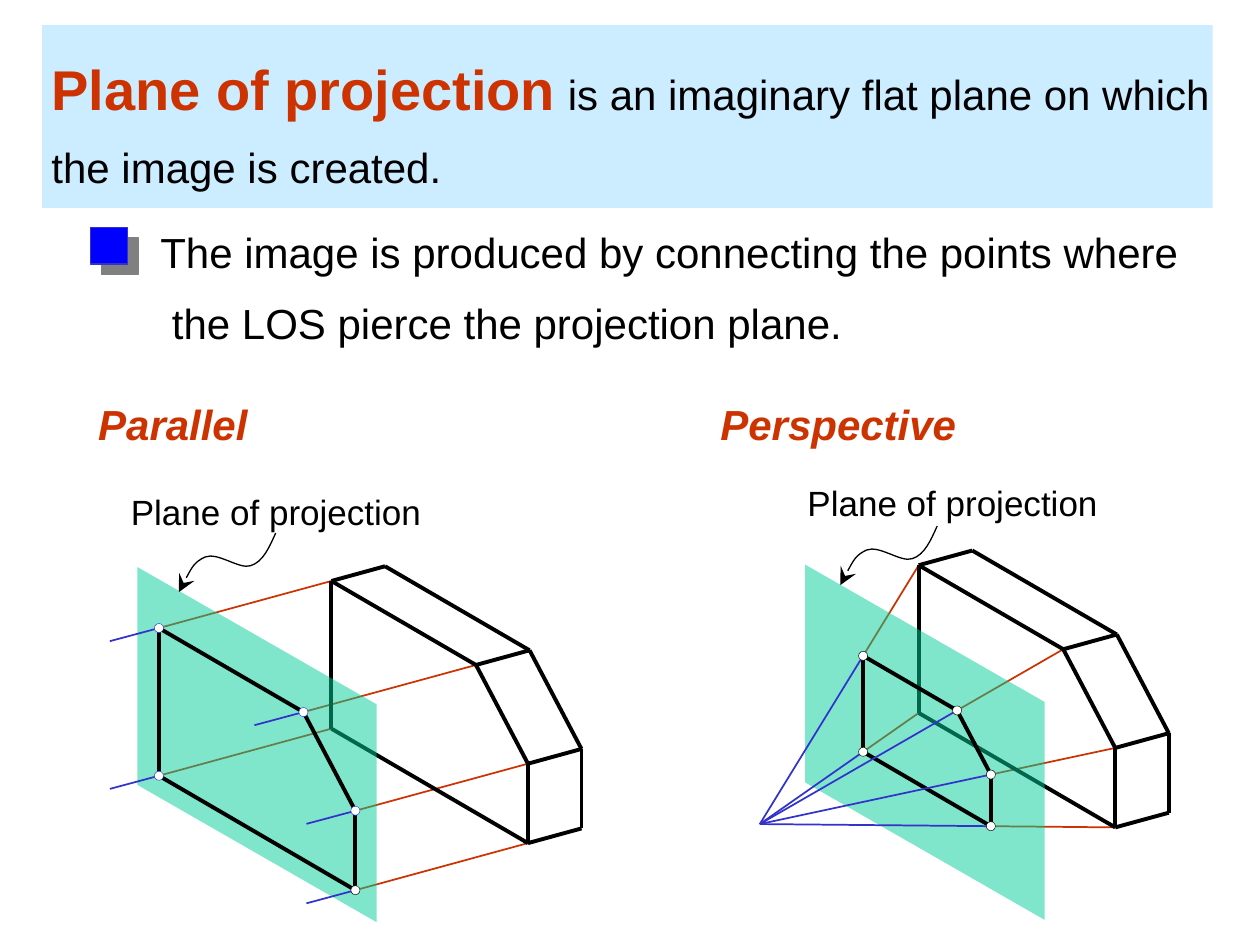
"""Build a slide that compares parallel and perspective planes of projection."""
import lxml.etree
import pptx
import pptx.dml.color
import pptx.enum.shapes
import pptx.enum.text
import pptx.oxml.ns
import pptx.util

Pt = pptx.util.Pt
qn = pptx.oxml.ns.qn
SubElement = lxml.etree.SubElement
RECTANGLE = pptx.enum.shapes.MSO_SHAPE.RECTANGLE
OVAL = pptx.enum.shapes.MSO_SHAPE.OVAL

COLORS = {
    "black": "000000", "white": "FFFFFF", "red": "CC3300", "banner": "CCECFF",
    "bullet": "0000FF", "sight": "3333CC", "plane": "00CC99", "shadow": "808080",
}
RGB = {name: pptx.dml.color.RGBColor.from_string(value) for name, value in COLORS.items()}

presentation = pptx.Presentation()
presentation.slide_width, presentation.slide_height = Pt(720), Pt(540)
slide = presentation.slides.add_slide(presentation.slide_layouts[6])
shapes = slide.shapes


def add_text(left, top, width, height, paragraphs, spacing=None):
    """Add an unwrapped text box from lists of (text, size, color, bold, italic)."""
    box = shapes.add_textbox(Pt(left), Pt(top), Pt(width), Pt(height))
    frame = box.text_frame
    frame.word_wrap = False
    frame.auto_size = pptx.enum.text.MSO_AUTO_SIZE.SHAPE_TO_FIT_TEXT
    for index, runs in enumerate(paragraphs):
        paragraph = frame.add_paragraph() if index else frame.paragraphs[0]
        paragraph.line_spacing = spacing
        for text, size, color, bold, italic in runs:
            run = paragraph.add_run()
            run.text = text
            run.font.name, run.font.size = "Arial", Pt(size)
            run.font.bold, run.font.italic = bold, italic
            run.font.color.rgb = RGB[color]
    return box


def add_line(start, end, color, width):
    """Add a straight line without a shadow."""
    line = shapes.add_connector(
        pptx.enum.shapes.MSO_CONNECTOR.STRAIGHT, *(Pt(value) for value in (*start, *end)))
    line.line.color.rgb = RGB[color]
    line.line.width = Pt(width)
    SubElement(line._element.spPr, qn("a:effectLst"))


banner = shapes.add_shape(RECTANGLE, Pt(24), Pt(14.4), Pt(669), Pt(104.4))
banner.shadow.inherit = False
banner.fill.solid()
banner.fill.fore_color.rgb = RGB["banner"]
banner.line.fill.background()

add_text(22.3, 12.2, 682.6, 101.5, [
    [("Plane of projection", 32, "red", True, False),
     (" ", 24, "red", True, True),
     ("is an imaginary flat plane on which", 24, "black", False, False)],
    [("the image is created.", 24, "black", False, False)],
], 1.4)
statement = add_text(84.5, 114.5, 596.2, 87.8, [
    [("The image is produced by connecting the points where", 24, "black", False, False)],
    [("the LOS pierce the projection plane.", 24, "black", False, False)],
], 1.4)
statement.text_frame.paragraphs[1]._p.get_or_add_pPr().set("marL", str(Pt(6.67)))

bullet = shapes.add_shape(RECTANGLE, Pt(51.8), Pt(129.8), Pt(21), Pt(21))
bullet.shadow.inherit = False
bullet.fill.solid()
bullet.fill.fore_color.rgb = RGB["bullet"]
bullet.line.color.rgb = RGB["sight"]
bullet.line.width = Pt(0.75)
effects = bullet._element.spPr.find(qn("a:effectLst"))
shadow = SubElement(effects, qn("a:outerShdw"), dist=str(Pt(8.5)), dir="2700000",
                    algn="ctr", rotWithShape="0")
SubElement(shadow, qn("a:srgbClr"), val=COLORS["shadow"])

PROFILE = [(189.4, 332), (272, 380), (301.7, 436.4), (301.7, 481.8), (189.4, 416.4)]
DEPTH = (30.6, -8.4)
PLANE = [(0, 0), (136.8, 78.5), (136.8, 203), (0, 124.5)]
POINTER = [(0, 33.8), (4.3, 25.2), (8.6, 16.6), (15.1, 13.7), (22.3, 10.8),
           (34.6, 20.9), (41, 18.7), (48.2, 16.6), (51.8, 7.9), (55.4, 0)]
EYE = (434.2, 470.9)
SCALE = 0.65

parallel_image = [(x - 98.6, y + 26.9) for x, y in PROFILE]
perspective_solid = [(x + 335.6, y - 9) for x, y in PROFILE]
perspective_image = [
    tuple(eye + SCALE * (value - eye) for eye, value in zip(EYE, point))
    for point in perspective_solid
]
views = [
    {"heading": ("Parallel", 49, 106), "solid": PROFILE, "image": parallel_image,
     "sights": [(x - 28, y + 7.5) for x, y in parallel_image],
     "plane": (78.5, 324), "label": (67.7, 267.1), "pointer": (102.2, 304.6),
     "dots": ["sight", "sight", "sight", "black", "sight"]},
    {"heading": ("Perspective", 404.6, 152), "solid": perspective_solid,
     "image": perspective_image, "sights": [EYE] * 5,
     "plane": (460.1, 322.6), "label": (454.3, 262.1), "pointer": (480.2, 300.6),
     "dots": ["black"] * 5},
]

for view in views:
    heading, left, width = view["heading"]
    add_text(left, 223.9, width, 36, [[(heading, 24, "red", True, True)]])

    solid, image = view["solid"], view["image"]
    for corner, point in zip(solid, image):
        add_line(corner, point, "red", 1)

    back = [(x + DEPTH[0], y + DEPTH[1]) for x, y in solid[:4]]
    edges = [*zip(solid, solid[1:] + solid[:1]), *zip(back, back[1:]), *zip(solid, back)]
    for start, end in edges:
        add_line(start, end, "black", 2.25)

    left, top = view["plane"]
    corners = [(Pt(left + x), Pt(top + y)) for x, y in PLANE]
    builder = shapes.build_freeform(*corners[0], scale=1.0)
    builder.add_line_segments(corners[1:], close=True)
    plane = builder.convert_to_shape()
    plane.shadow.inherit = False
    plane.fill.solid()
    plane.fill.fore_color.rgb = RGB["plane"]
    plane.line.fill.background()
    SubElement(plane._element.spPr.find(qn("a:solidFill"))[0], qn("a:alpha"), val="50000")

    add_text(*view["label"], 190, 41,
             [[("Plane of projection", 20, "black", False, False)]], 1.4)

    left, top = view["pointer"]
    controls = [(Pt(left + x), Pt(top + y)) for x, y in POINTER]
    builder = shapes.build_freeform(*controls[0], scale=1.0)
    builder.add_line_segments(controls[1:], close=False)
    pointer = builder.convert_to_shape()
    pointer.shadow.inherit = False
    pointer.fill.background()
    pointer.line.color.rgb = RGB["black"]
    pointer.line.width = Pt(0.75)
    SubElement(pointer._element.spPr.find(qn("a:ln")), qn("a:headEnd"),
               type="stealth", w="lg", len="lg")
    segments = list(pointer._element.iter(qn("a:lnTo")))
    outline = segments[0].getparent()
    for first in range(0, len(segments), 3):
        curve = SubElement(outline, qn("a:cubicBezTo"))
        for segment in segments[first:first + 3]:
            curve.append(segment[0])
            outline.remove(segment)

    for start, end in zip(image, image[1:] + image[:1]):
        add_line(start, end, "black", 2.25)
    for point, sight in zip(image, view["sights"]):
        add_line(point, sight, "sight", 1)
    for (x, y), color in zip(image, view["dots"]):
        dot = shapes.add_shape(OVAL, Pt(x - 2.6), Pt(y - 2.6), Pt(5.2), Pt(5.2))
        dot.shadow.inherit = False
        dot.fill.solid()
        dot.fill.fore_color.rgb = RGB["white"]
        dot.line.color.rgb = RGB[color]
        dot.line.width = Pt(0.25)

presentation.save("out.pptx")
